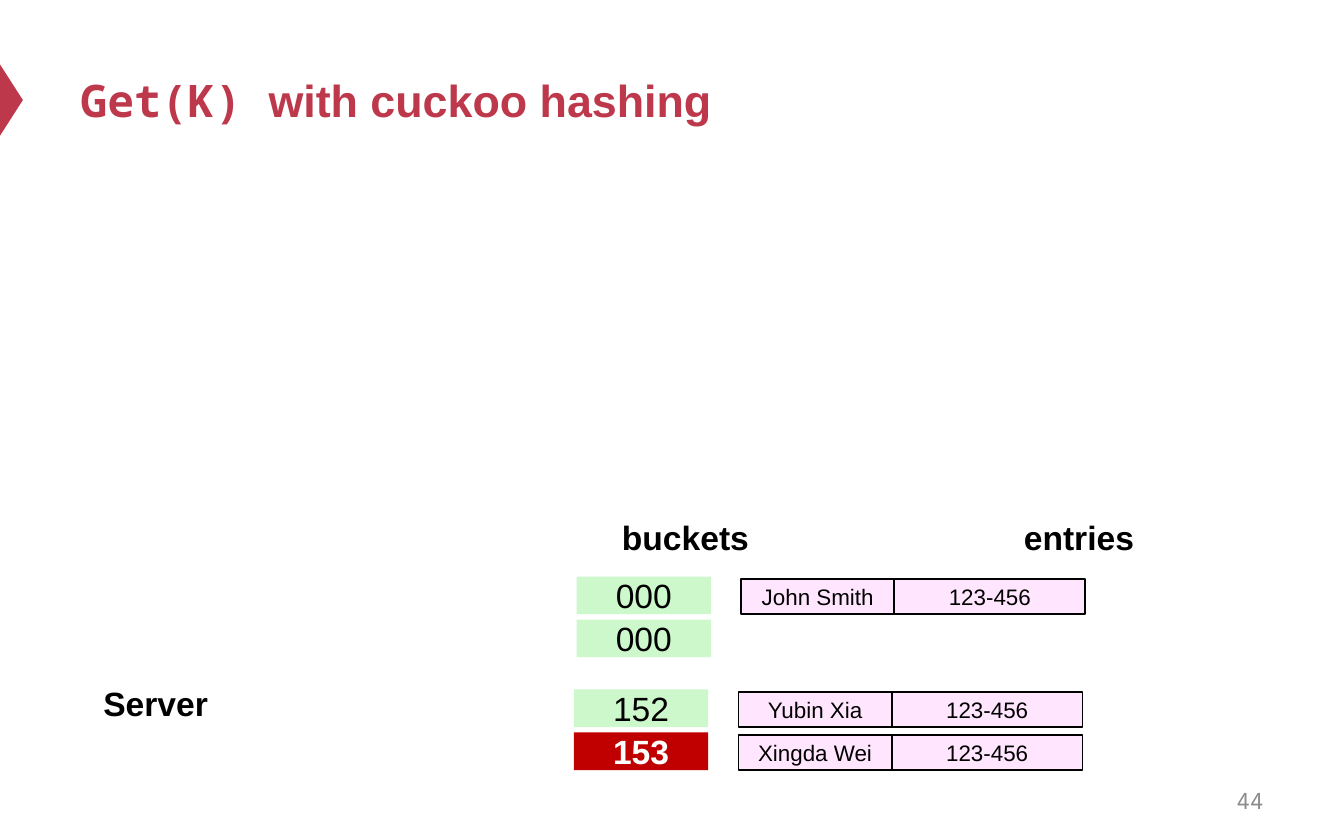
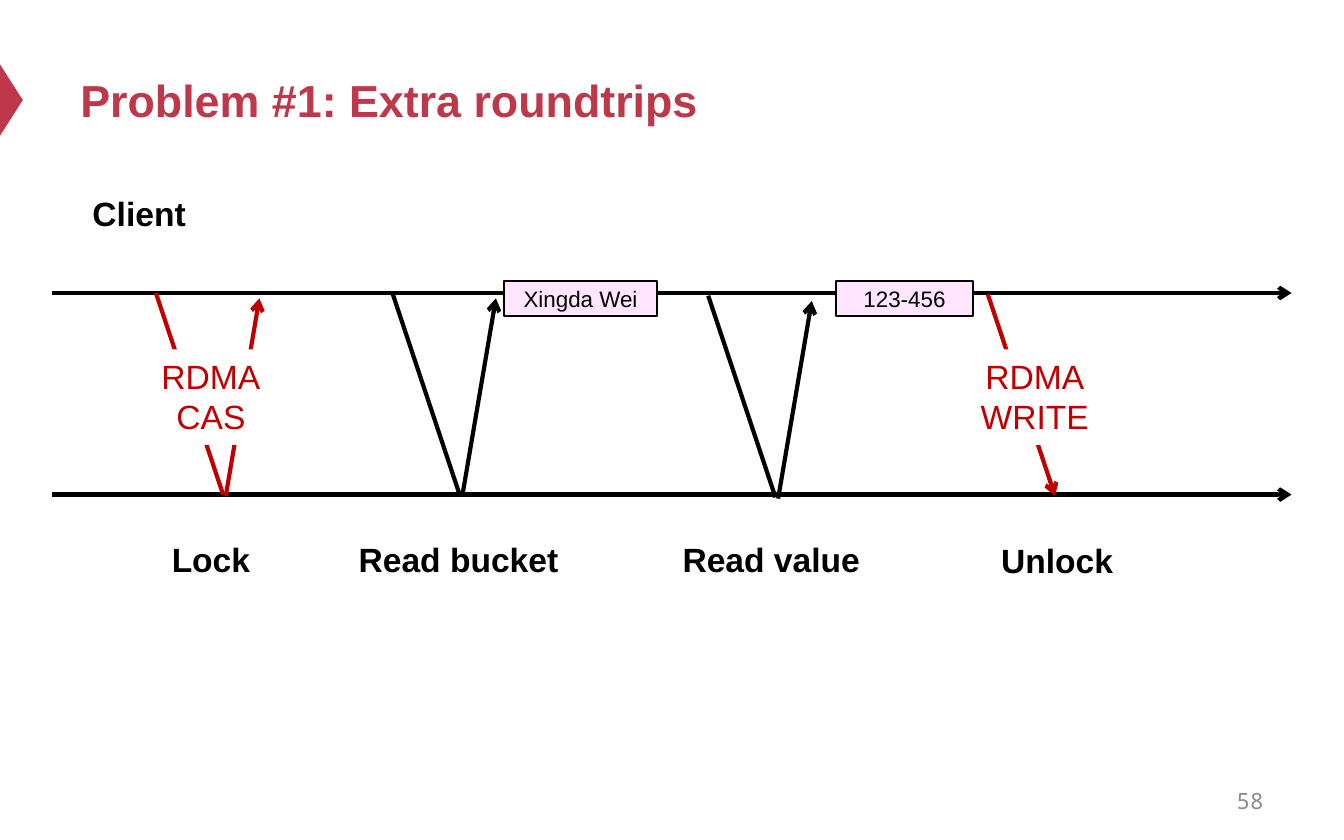
"""Builds two slides on remote hash table lookups: bucket layout and extra roundtrips."""
from lxml import etree
from pptx import Presentation
from pptx import util as u
from pptx.dml import color
from pptx.enum import shapes, text
from pptx.oxml import ns

COLORS = {
    "accent": "BE384B", "alert": "C00000", "black": "000000", "white": "FFFFFF",
    "bucket": "CDF8CC", "entry": "FFE6FE", "muted": "8C8C8C",
}
SANS, MONO = "Arial", "Noto Sans Mono"
LEFT, CENTER, RIGHT = text.PP_ALIGN.LEFT, text.PP_ALIGN.CENTER, text.PP_ALIGN.RIGHT
TOP, MIDDLE = text.MSO_ANCHOR.TOP, text.MSO_ANCHOR.MIDDLE

presentation = Presentation()
presentation.slide_width, presentation.slide_height = u.Inches(10), u.Inches(6.25)
COLUMN = presentation.slide_width / 40
ROW = presentation.slide_height / 25
LABEL_HEIGHT, ENTRY_HEIGHT = 1.6, 1.04
NAME_WIDTH, VALUE_WIDTH = 4.56, 5.68


def add_box(slide, place, content="", fill=None, outline=None, size=18, ink="black",
            bold=False, font=SANS, align=CENTER, anchor=MIDDLE,
            kind=shapes.MSO_SHAPE.RECTANGLE):
    left, top, width, height = place
    frame = [int(left * COLUMN), int(top * ROW), int(width * COLUMN), int(height * ROW)]
    if fill:
        shape = slide.shapes.add_shape(kind, *frame)
        shape.shadow.inherit = False
        shape.fill.solid()
        shape.fill.fore_color.rgb = color.RGBColor.from_string(COLORS[fill])
        if outline:
            shape.line.color.rgb = color.RGBColor.from_string(COLORS[outline])
            shape.line.width = u.Pt(1)
        else:
            shape.line.fill.background()
    else:
        shape = slide.shapes.add_textbox(*frame)
    shape.text_frame.word_wrap = True
    shape.text_frame.vertical_anchor = anchor
    shape.text_frame.text = content
    for paragraph in shape.text_frame.paragraphs:
        paragraph.alignment = align
        for run in paragraph.runs:
            run.font.name, run.font.size, run.font.bold = font, u.Pt(size), bold
            run.font.color.rgb = color.RGBColor.from_string(COLORS[ink])
    return shape


def add_line(slide, start, end, ink="black", arrow=False):
    (x1, y1), (x2, y2) = start, end
    line = slide.shapes.add_connector(
        shapes.MSO_CONNECTOR.STRAIGHT,
        int(x1 * COLUMN), int(y1 * ROW), int(x2 * COLUMN), int(y2 * ROW))
    line.line.color.rgb = color.RGBColor.from_string(COLORS[ink])
    line.line.width = u.Pt(2.25)
    properties = line._element.spPr
    if arrow:
        etree.SubElement(properties.find(ns.qn("a:ln")), ns.qn("a:tailEnd"), type="arrow")
    etree.SubElement(properties, ns.qn("a:effectLst"))


LABEL = {"bold": True, "align": LEFT, "anchor": TOP}
ENTRY = {"fill": "entry", "outline": "black", "size": 12}

slides = []
for code, title, number in [
    ("Get(K) ", "with cuckoo hashing", "44"),
    ("", "Problem #1: Extra roundtrips", "58"),
]:
    slide = presentation.slides.add_slide(presentation.slide_layouts[6])
    marker = add_box(slide, (-0.72, 2.64, 2.12, 0.68), fill="accent",
                     kind=shapes.MSO_SHAPE.ISOSCELES_TRIANGLE)
    marker.rotation = 90
    heading = add_box(slide, (2, 1, 36, 3.92), code or title, size=24, ink="accent",
                      bold=True, font=MONO if code else SANS, align=LEFT)
    if code:
        run = heading.text_frame.paragraphs[0].add_run()
        run.text = title
        run.font.name, run.font.size, run.font.bold = SANS, u.Pt(24), True
        run.font.color.rgb = color.RGBColor.from_string(COLORS["accent"])
    add_box(slide, (28.68, 23.16, 9.32, 1.32), number, size=12, ink="muted",
            font=MONO, align=RIGHT)
    slides.append(slide)
hashing, roundtrips = slides

for label, left, top, width in [
    ("Server", 2.68, 20.12, 7.96),
    ("buckets", 18.12, 15.2, 5.04),
    ("entries", 30.08, 15.2, 5.04),
]:
    add_box(hashing, (left, top, width, LABEL_HEIGHT), label, **LABEL)

for bucket, left, top, name in [
    ("000", 17.16, 17.16, "John Smith"),
    ("000", 17.16, 18.44, None),
    ("152", 17.08, 20.52, "Yubin Xia"),
    ("153", 17.08, 21.8, "Xingda Wei"),
]:
    hit = bucket == "153"
    add_box(hashing, (left, top, 4, 1.12), bucket, fill="alert" if hit else "bucket",
            ink="white" if hit else "black", bold=hit)
    if name:
        name_left, entry_top = left + 4.9, top + 0.08
        add_box(hashing, (name_left, entry_top, NAME_WIDTH, ENTRY_HEIGHT), name, **ENTRY)
        add_box(hashing, (name_left + NAME_WIDTH, entry_top, VALUE_WIDTH, ENTRY_HEIGHT),
                "123-456", **ENTRY)

add_box(roundtrips, (2.36, 5.56, 3.76, LABEL_HEIGHT), "Client", **LABEL)
for timeline in (8.72, 14.72):
    add_line(roundtrips, (1.56, timeline), (38.44, timeline), arrow=True)

for left, top, ink, has_reply in [
    (4.64, 8.72, "alert", True),
    (11.68, 8.72, "black", True),
    (21.08, 8.8, "black", True),
    (29.4, 8.76, "alert", False),
]:
    add_line(roundtrips, (left, top), (left + 2, top + 6), ink, arrow=not has_reply)
    if has_reply:
        add_line(roundtrips, (left + 2.08, top + 6.04), (left + 3.08, top + 0.16), ink,
                 arrow=True)

for operation, left in [("RDMA\nCAS", 3.2), ("RDMA\nWRITE", 27.72)]:
    add_box(roundtrips, (left, 10.4, 6.16, 2.84), operation, fill="white", ink="alert",
            anchor=TOP)

for result, left, width in [("Xingda Wei", 15, NAME_WIDTH), ("123-456", 24.88, 4.08)]:
    add_box(roundtrips, (left, 8.36, width, ENTRY_HEIGHT), result, **ENTRY)

for step, left, top, width in [
    ("Lock", 4.72, 15.84, 5.04),
    ("Read bucket", 10.28, 15.84, 7),
    ("Read value", 19.92, 15.84, 7),
    ("Unlock", 29.4, 15.88, 7),
]:
    add_box(roundtrips, (left, top, width, LABEL_HEIGHT), step, **LABEL)

presentation.save("out.pptx")
